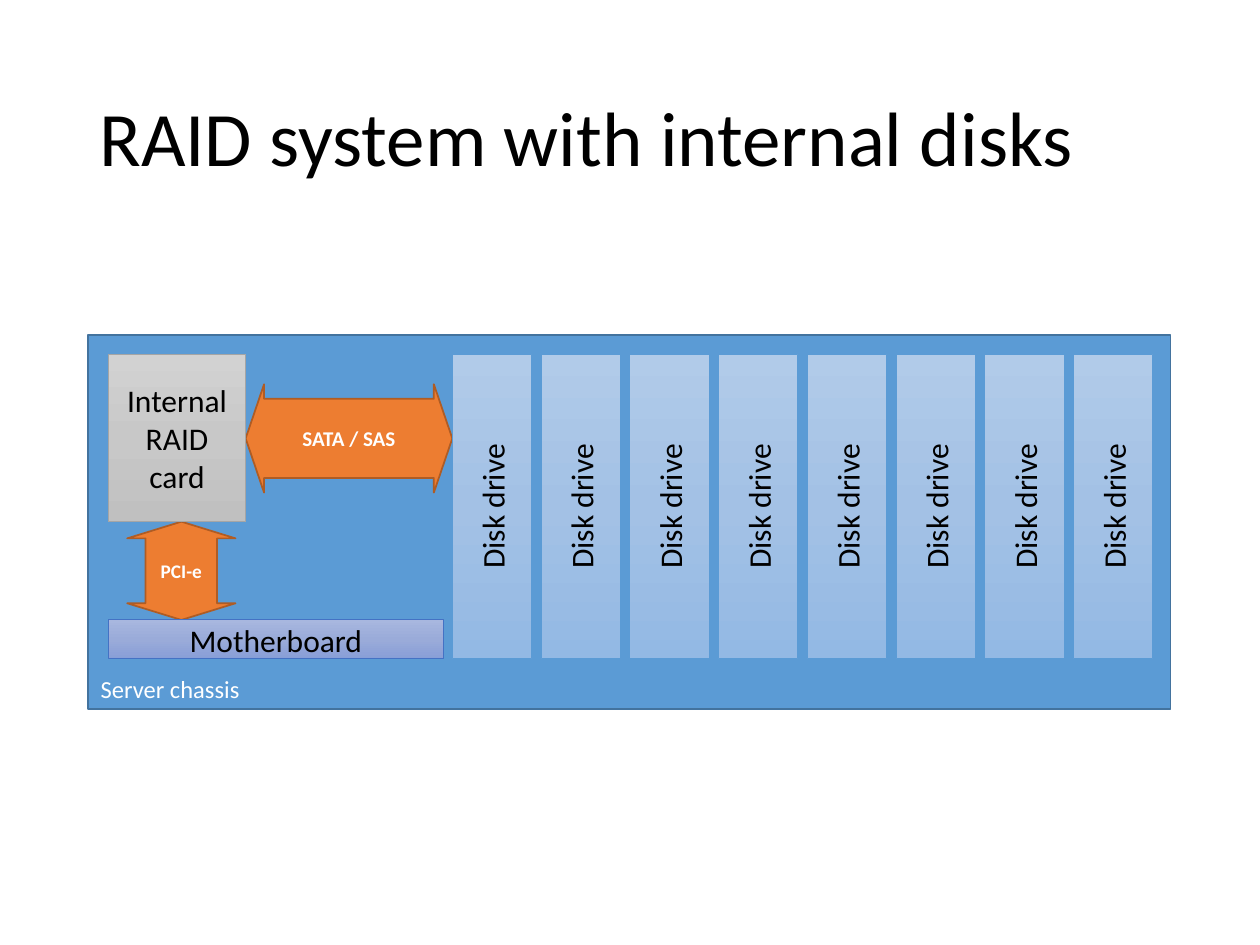
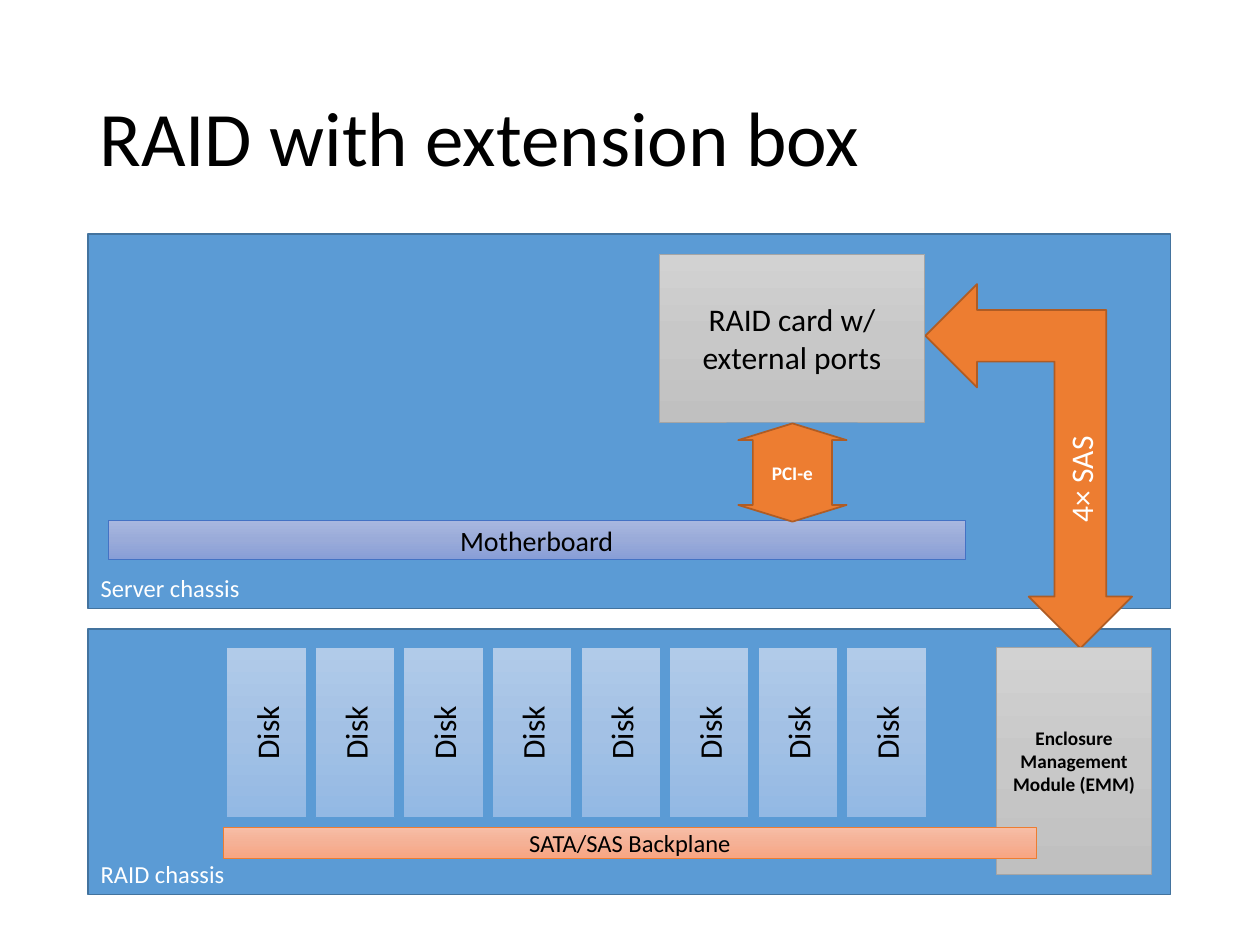
from copy import deepcopy

from pptx import Presentation
from pptx.dml.color import RGBColor
from pptx.enum import shapes, text
from pptx.oxml.ns import qn
from pptx.util import Inches, Pt

FONT = "Calibri"
BLACK, WHITE = "000000", "FFFFFF"
RECT = shapes.MSO_SHAPE.RECTANGLE
TWO_WAY = shapes.MSO_SHAPE.LEFT_RIGHT_ARROW
BENT = shapes.MSO_SHAPE.LEFT_UP_ARROW
MIDDLE, BOTTOM = text.MSO_ANCHOR.MIDDLE, text.MSO_ANCHOR.BOTTOM
LEFT, CENTER = text.PP_ALIGN.LEFT, text.PP_ALIGN.CENTER

# Fill (one colour, or top / middle / bottom), line colour, line width
CHASSIS = (["5B9BD5"], "43739E", 1)
BUS = (["ED7D31"], "AF5C24", 1)
BOARD = (["A8B7DF", "9AABD9", "889ED7"], "4472C4", 0.5)
DISK = (["B1CBE9", "A3C1E5", "93B9E4"], "5B9BD5", 0.5)
CARD = (["D2D2D2", "C8C8C8", "C0C0C0"], "A5A5A5", 0.5)
BACKPLANE = (["F7BDA5", "F5B196", "F8A582"], "ED7D31", 0.5)


def rgb(value):
    return RGBColor.from_string(value)


def write(tf, content, size=18, color=BLACK, bold=False, align=CENTER,
          anchor=MIDDLE, vert=None, spacing=None):
    tf.word_wrap = True
    tf.vertical_anchor = anchor
    if vert:
        tf._txBody.bodyPr.set("vert", vert)
    p = tf.paragraphs[0]
    p.alignment = align
    if spacing:
        p.line_spacing = spacing
    r = p.add_run()
    r.text = content
    r.font.name, r.font.size, r.font.bold = FONT, Pt(size), bold
    r.font.color.rgb = rgb(color)


class Deck:
    def __init__(self):
        self.prs = Presentation()
        self.prs.slide_width, self.prs.slide_height = Inches(10), Inches(7.5)
        self.s = None

    def slide(self, title):
        self.s = self.prs.slides.add_slide(self.prs.slide_layouts[6])
        box = self.s.shapes.add_textbox(*map(Inches, (0.69, 0.4, 8.62, 1.45)))
        write(box.text_frame, title, size=44, align=LEFT, spacing=0.9)

    def paint(self, fill, colors):
        if len(colors) == 1:
            fill.solid()
            fill.fore_color.rgb = rgb(colors[0])
            return
        fill.gradient()
        fill.gradient_angle = 270
        first = fill.gradient_stops[0]._gs
        first.addnext(deepcopy(first))
        for i, (stop, color) in enumerate(zip(fill.gradient_stops, colors)):
            stop.position = i / (len(colors) - 1)
            stop.color.rgb = rgb(color)

    def shape(self, content, at, style, kind=RECT, rotation=0, adj=(), **fmt):
        colors, line, width = style
        sp = self.s.shapes.add_shape(kind, *map(Inches, at))
        sp.shadow.inherit = False
        sp.rotation = rotation
        for i, value in enumerate(adj):
            sp.adjustments[i] = value
        self.paint(sp.fill, colors)
        sp.line.color.rgb = rgb(line)
        sp.line.width = Pt(width)
        write(sp.text_frame, content, **fmt)

    def chassis(self, name, top, height):
        self.shape(name, (0.7, top, 8.59, height), CHASSIS, size=14,
                   color=WHITE, align=LEFT, anchor=BOTTOM)

    def disks(self, name, first, last, top, height, count=8):
        pitch = (last - first) / (count - 1)
        for i in range(count):
            self.shape(name, (first + i * pitch, top, 0.63, height), DISK,
                       vert="vert270")

    def bus(self, name, at, shaft=0.73, **fmt):
        self.shape(name, at, BUS, TWO_WAY, adj=(shaft, 0.17), color=WHITE,
                   bold=True, **fmt)

    def pcie(self, left, top, shaft):
        self.bus("PCI-e", (left, top, 0.78, 0.86), shaft, size=11,
                 rotation=270, vert="vert")


def internal_disks(deck):
    deck.slide("RAID system with internal disks")
    deck.chassis("Server chassis", 2.66, 2.97)
    deck.pcie(1.05, 4.1, 0.66)
    deck.shape("Motherboard", (0.86, 4.92, 2.66, 0.31), BOARD)
    deck.bus("SATA / SAS", (1.95, 3.05, 1.64, 0.86), size=12)
    deck.disks("Disk drive", 3.59, 8.52, 2.81, 2.42)
    deck.shape("Internal RAID card", (0.86, 2.81, 1.09, 1.33), CARD)


def extension_box(deck):
    deck.slide("RAID with extension box")
    deck.chassis("RAID chassis", 4.99, 2.11)
    deck.chassis("Server chassis", 1.86, 2.97)
    deck.shape("Motherboard", (0.86, 4.13, 6.8, 0.31), BOARD, size=16)
    deck.disks("Disk", 1.8, 6.72, 5.14, 1.35)
    # Cable between the two chassis
    deck.shape("4× SAS", (6.72, 2.88, 2.89, 1.64), BUS, BENT, rotation=270,
               color=WHITE)
    # Controller side
    deck.shape("RAID card w/ external ports", (5.23, 2.02, 2.11, 1.33), CARD)
    deck.shape("Enclosure Management Module (EMM)", (7.91, 5.14, 1.23, 1.8),
               CARD, size=11, bold=True)
    deck.shape("SATA/SAS Backplane", (1.77, 6.57, 6.46, 0.24), BACKPLANE,
               size=14)
    deck.pcie(5.9, 3.32, 0.73)


def main():
    deck = Deck()
    internal_disks(deck)
    extension_box(deck)
    deck.prs.save("out.pptx")


if __name__ == "__main__":
    main()
